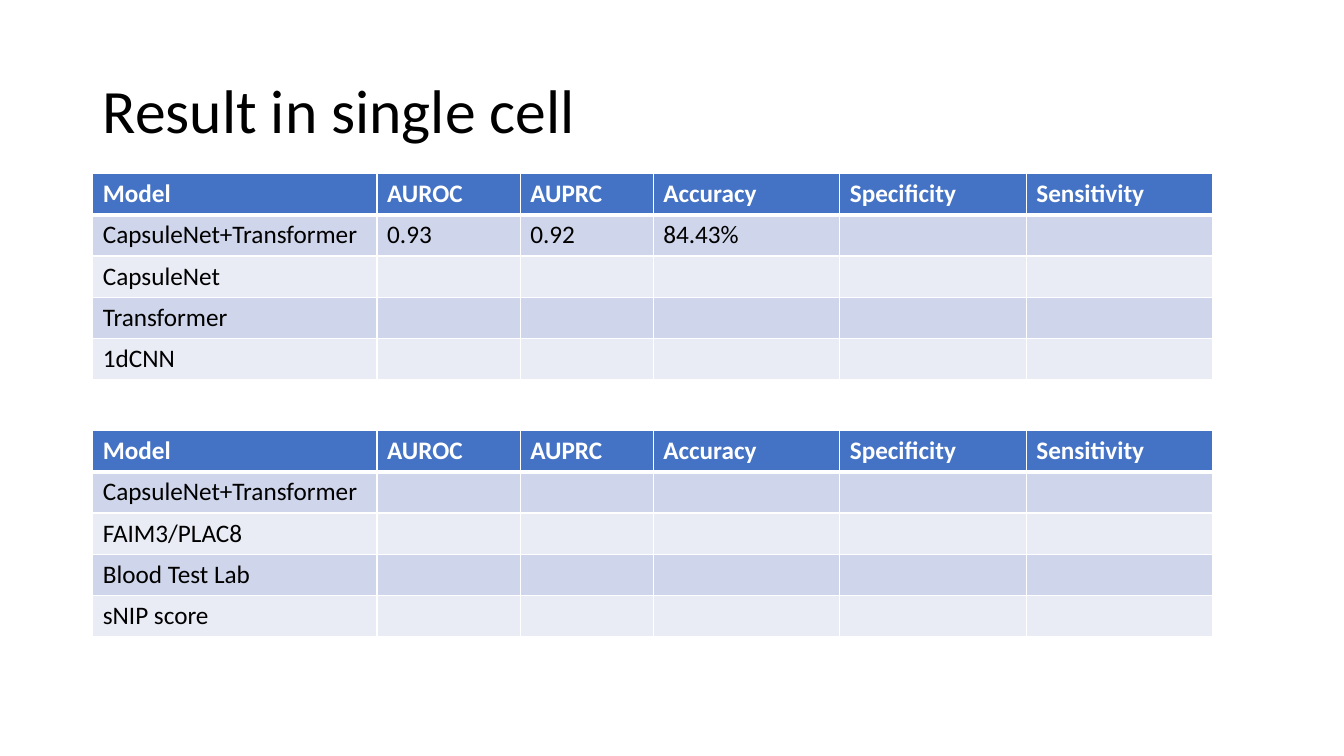
from dataclasses import dataclass

from lxml import etree
from pptx import Presentation
from pptx.dml.color import RGBColor
from pptx.enum.text import MSO_ANCHOR, MSO_AUTO_SIZE, PP_ALIGN
from pptx.oxml.ns import qn
from pptx.util import Inches, Pt

MIDDLE = MSO_ANCHOR.MIDDLE
LEFT = PP_ALIGN.LEFT
NO_AUTOFIT = MSO_AUTO_SIZE.NONE

WHITE = RGBColor(0xFF, 0xFF, 0xFF)
BLACK = RGBColor(0x00, 0x00, 0x00)
HEADER_BLUE = RGBColor(0x44, 0x72, 0xC4)
BAND_DARK = RGBColor(0xCF, 0xD5, 0xEA)
BAND_LIGHT = RGBColor(0xE9, 0xEB, 0xF5)

FONT = "Calibri"
MARGIN = 0.92
ROW_HEIGHT = 0.41
THIN, THICK = 1, 3
HEADERS = ("Model", "AUROC", "AUPRC", "Accuracy", "Specificity", "Sensitivity")
COLUMN_WIDTHS = (2.82, 1.42, 1.32, 1.85, 1.85, 1.85)


@dataclass
class ResultTable:
    top: float
    rows: tuple[tuple[str, ...], ...]


RESULT_TABLES = (
    ResultTable(1.72, (
        ("CapsuleNet+Transformer", "0.93", "0.92", "84.43%"),
        ("CapsuleNet",),
        ("Transformer",),
        ("1dCNN",),
    )),
    ResultTable(4.27, (
        ("CapsuleNet+Transformer",),
        ("FAIM3/PLAC8",),
        ("Blood Test Lab",),
        ("sNIP score",),
    )),
)


def add_run(p, text: str, size: int, color: RGBColor, bold: bool = False) -> None:
    r = p.add_run()
    r.text = text
    r.font.name = FONT
    r.font.size = Pt(size)
    r.font.bold = bold
    r.font.color.rgb = color


def set_borders(cell, top: int, bottom: int) -> None:
    tc_pr = cell._tc.get_or_add_tcPr()
    for side, width in (("L", THIN), ("R", THIN), ("T", top), ("B", bottom)):
        ln = etree.SubElement(tc_pr, qn(f"a:ln{side}"), w=str(Pt(width)))
        fill = etree.SubElement(ln, qn("a:solidFill"))
        etree.SubElement(fill, qn("a:srgbClr"), val=str(WHITE))


def add_result_table(s, result: ResultTable) -> None:
    rows = (HEADERS, *result.rows)
    table = s.shapes.add_table(
        len(rows), len(HEADERS), Inches(MARGIN), Inches(result.top),
        Inches(sum(COLUMN_WIDTHS)), Inches(ROW_HEIGHT * len(rows))).table
    for column, width in zip(table.columns, COLUMN_WIDTHS):
        column.width = Inches(width)
    for i, texts in enumerate(rows):
        table.rows[i].height = Inches(ROW_HEIGHT)
        is_header = i == 0
        band = BAND_DARK if i % 2 else BAND_LIGHT
        for j in range(len(HEADERS)):
            cell = table.cell(i, j)
            set_borders(cell, THICK if i == 1 else THIN, THICK if is_header else THIN)
            cell.fill.solid()
            cell.fill.fore_color.rgb = HEADER_BLUE if is_header else band
            if j < len(texts):
                add_run(cell.text_frame.paragraphs[0], texts[j], 18,
                        WHITE if is_header else BLACK, is_header)


def add_title(s, text: str) -> None:
    sp = s.shapes.title
    sp.left, sp.top = Inches(MARGIN), Inches(0.4)
    sp.width, sp.height = Inches(11.5), Inches(1.45)
    tf = sp.text_frame
    tf.auto_size = NO_AUTOFIT
    tf.vertical_anchor = MIDDLE
    p = tf.paragraphs[0]
    p.alignment = LEFT
    p.line_spacing = 0.9
    add_run(p, text, 44, BLACK)


prs = Presentation()
prs.slide_width, prs.slide_height = Inches(13.33), Inches(7.5)
s = prs.slides.add_slide(prs.slide_layouts.get_by_name("Title Only"))
add_title(s, "Result in single cell")
for result in RESULT_TABLES:
    add_result_table(s, result)
prs.save("out.pptx")
